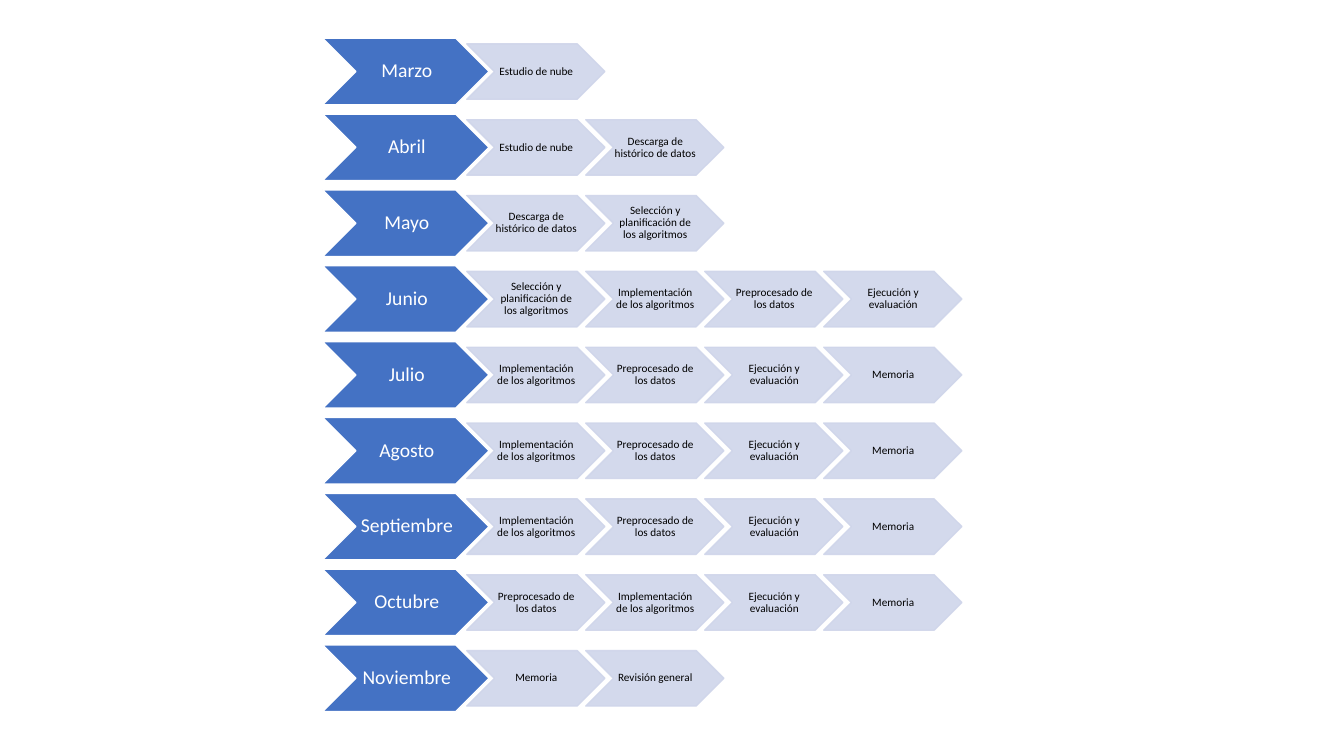
from lxml.etree import SubElement
from pptx import Presentation
from pptx.dml.color import RGBColor
from pptx.enum.shapes import MSO_SHAPE
from pptx.enum.text import MSO_ANCHOR, PP_ALIGN
from pptx.oxml.ns import qn
from pptx.util import Inches, Pt

COLORS = {"month": "4472C4", "month_edge": "FFFFFF", "month_text": "FFFFFF",
          "task": "CFD5EA", "task_text": "000000"}

CLOUD = "Estudio de nube"
DOWNLOAD = "Descarga de histórico de datos"
SELECTION = "Selección y planificación de los algoritmos"
CODING = "Implementación de los algoritmos"
PREPARATION = "Preprocesado de los datos"
EVALUATION = "Ejecución y evaluación"
REPORT = "Memoria"
REVIEW = "Revisión general"

SCHEDULE = {
    "Marzo": [CLOUD],
    "Abril": [CLOUD, DOWNLOAD],
    "Mayo": [DOWNLOAD, SELECTION],
    "Junio": [SELECTION, CODING, PREPARATION, EVALUATION],
    "Julio": [CODING, PREPARATION, EVALUATION, REPORT],
    "Agosto": [CODING, PREPARATION, EVALUATION, REPORT],
    "Septiembre": [CODING, PREPARATION, EVALUATION, REPORT],
    "Octubre": [PREPARATION, CODING, EVALUATION, REPORT],
    "Noviembre": [REPORT, REVIEW],
}

# Grid in inches: one row per month, one column per task
LEFT, TOP = 3.2, 0.38
MONTH_W, MONTH_H = 1.65, 0.66
ROW_STEP = 1.14 * MONTH_H
TASK_LEFT = 4.63
TASK_W, TASK_H = 1.37, 0.55
TASK_STEP = 1.18
TASK_DROP = (MONTH_H - TASK_H) / 2

prs = Presentation()
prs.slide_width, prs.slide_height = Inches(13.33), Inches(7.5)
slide = prs.slides.add_slide(prs.slide_layouts[6])


def add_chevron(text, *, box, fill, edge, color, size, inset, opacity=100):
    """Add a chevron with centred text; box is left, top, width, height in inches."""
    chevron = slide.shapes.add_shape(MSO_SHAPE.CHEVRON, *map(Inches, box))
    chevron.shadow.inherit = False
    chevron.fill.solid()
    chevron.fill.fore_color.rgb = RGBColor.from_string(fill)
    chevron.line.color.rgb = RGBColor.from_string(edge)
    chevron.line.width = Pt(1)
    if opacity < 100:
        for tint in chevron._element.spPr.iter(qn("a:srgbClr")):
            SubElement(tint, qn("a:alpha"), val=str(opacity * 1000))

    frame = chevron.text_frame
    frame.word_wrap = True
    frame.vertical_anchor = MSO_ANCHOR.MIDDLE
    frame.margin_left, frame.margin_right = Inches(inset), 0
    frame.margin_top = frame.margin_bottom = Inches(0.01)
    label = frame.paragraphs[0]
    label.text = text
    label.alignment = PP_ALIGN.CENTER
    label.line_spacing = 0.9
    label.font.name = "Calibri"
    label.font.size = Pt(size)
    label.font.color.rgb = RGBColor.from_string(color)


for row, (month, tasks) in enumerate(SCHEDULE.items()):
    top = TOP + row * ROW_STEP
    add_chevron(month, box=(LEFT, top, MONTH_W, MONTH_H), fill=COLORS["month"],
                edge=COLORS["month_edge"], color=COLORS["month_text"],
                size=14, inset=0.02)
    for column, task in enumerate(tasks):
        task_box = (TASK_LEFT + column * TASK_STEP, top + TASK_DROP, TASK_W, TASK_H)
        add_chevron(task, box=task_box, fill=COLORS["task"], edge=COLORS["task"],
                    color=COLORS["task_text"], size=8, inset=0.01, opacity=90)

prs.save("out.pptx")
